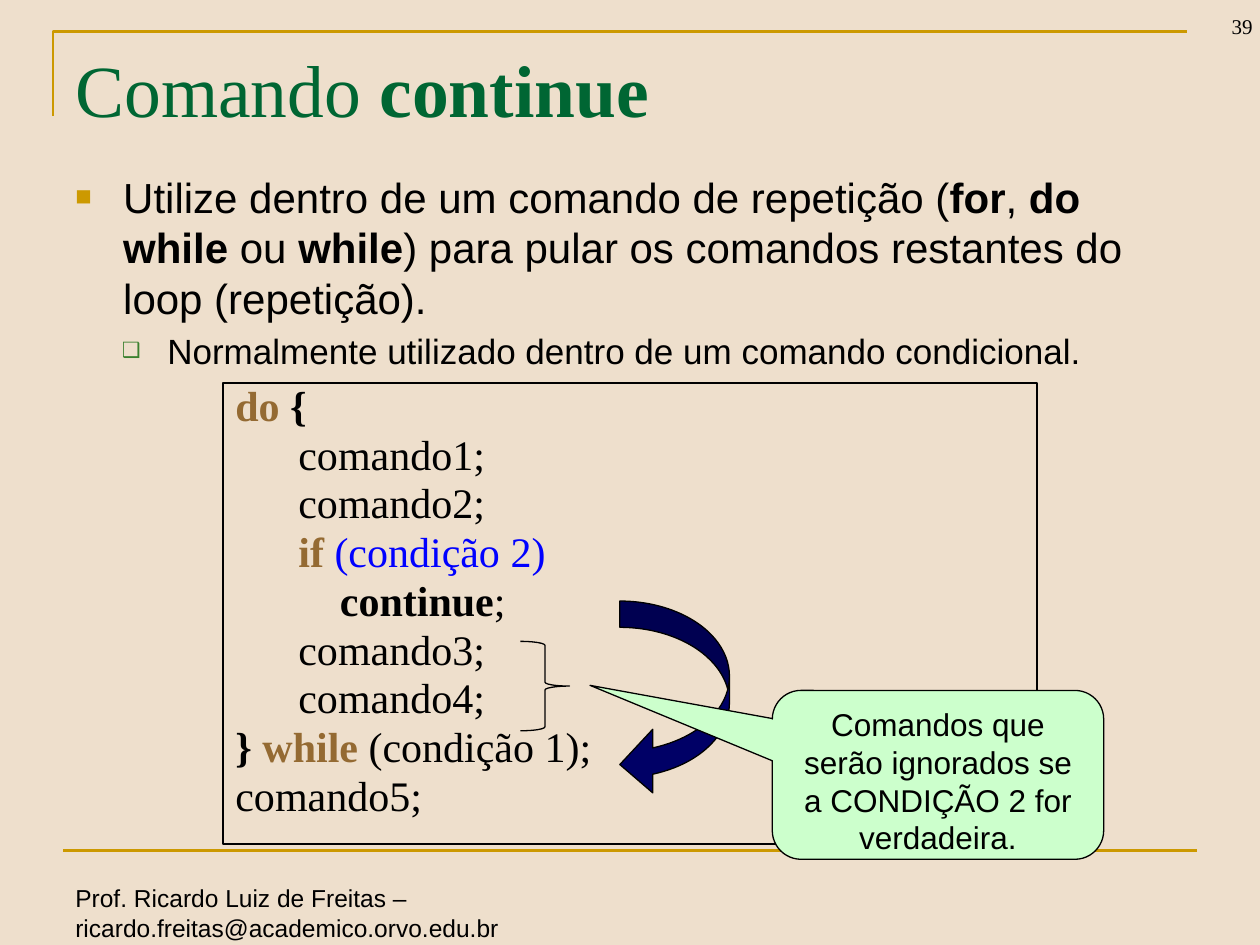
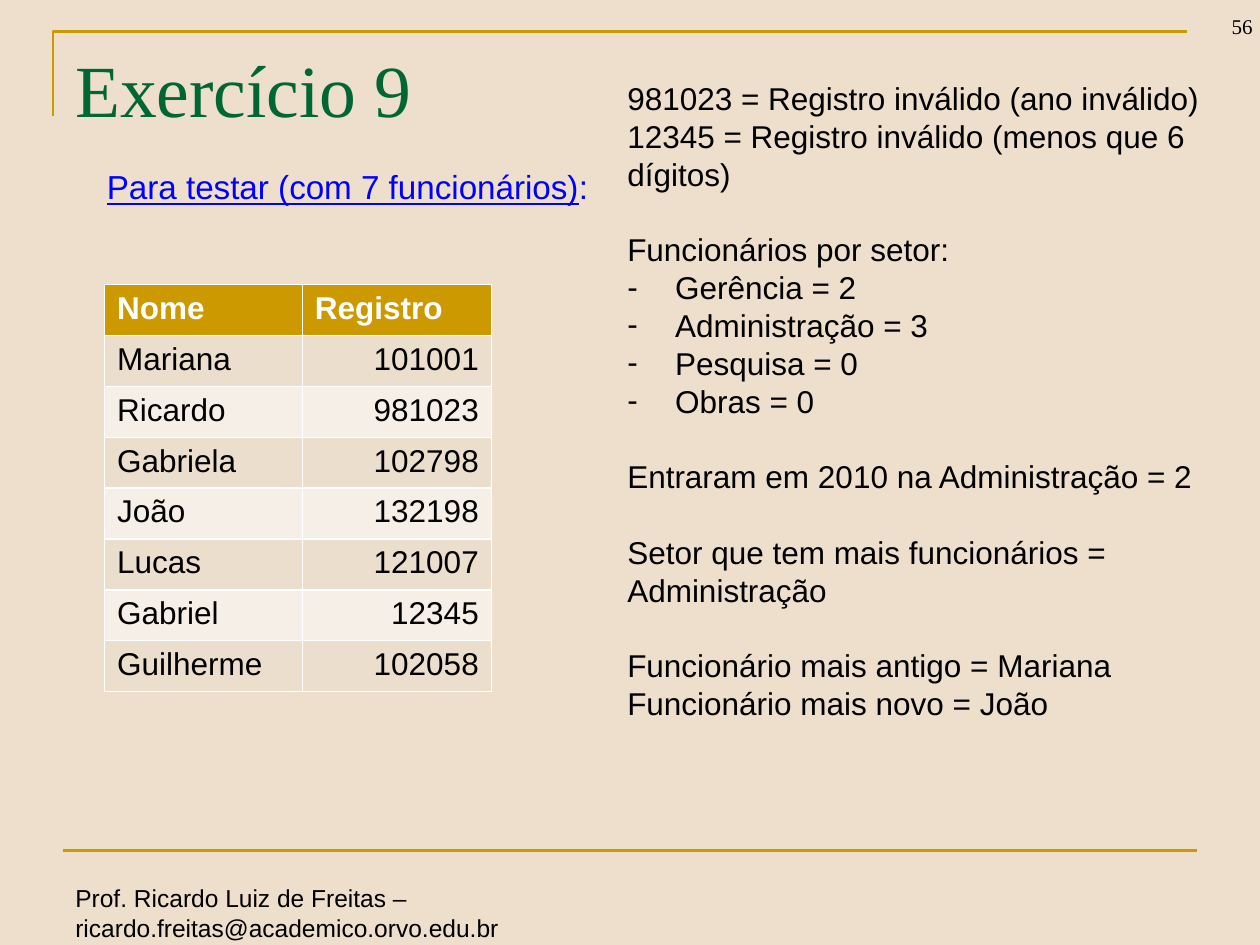
from dataclasses import dataclass
from typing import Optional

from lxml.etree import SubElement
from pptx import Presentation
from pptx.dml.color import RGBColor
from pptx.enum.shapes import MSO_CONNECTOR as Connector, MSO_SHAPE as Preset
from pptx.enum.text import MSO_ANCHOR as Anchor, PP_ALIGN as Align
from pptx.oxml.ns import qn
from pptx.util import Inches, Pt


@dataclass(frozen=True)
class Theme:
    sand: str = "EEDFCC"
    gold: str = "CC9900"
    green: str = "006633"
    leaf: str = "3B812F"
    mint: str = "CCFFCC"
    navy: str = "000066"
    blue: str = "0000FF"
    brown: str = "946A32"
    black: str = "000000"
    white: str = "FFFFFF"
    row_shades: tuple = ("ECDECC", "F6EFE7")
    sans: str = "Arial"
    serif: str = "Times New Roman"
    title: float = 42
    body: float = 24
    sub_body: float = 20
    prompt: float = 19
    regular: float = 18
    footer: float = 14
    number: float = 12
    rule: float = 1.5
    outline: float = 0.75


THEME = Theme()
FOOTER = "Prof. Ricardo Luiz de Freitas – ricardo.freitas@academico.orvo.edu.br"


@dataclass(frozen=True)
class Area:
    left: float
    top: float
    width: float
    height: float

    def lengths(self) -> tuple:
        return tuple(map(Inches, (self.left, self.top, self.width, self.height)))


@dataclass(frozen=True)
class Span:
    text: str
    bold: bool = False
    color: str = THEME.black
    underline: bool = False


@dataclass(frozen=True)
class Bullet:
    mark: str
    color: str = THEME.black
    percent: int = 100


@dataclass(frozen=True)
class Para:
    spans: tuple
    size: float = THEME.regular
    font: str = THEME.sans
    align: Align = Align.LEFT
    left: float = 0
    hang: float = 0
    bullet: Optional[Bullet] = None
    before: float = 0
    line: float = 1


def plain(text: str, **settings) -> Para:
    return Para((Span(text),), **settings)


def rgb(color: str) -> RGBColor:
    return RGBColor.from_string(color)


def write(frame, paras: list, anchor: Anchor = Anchor.TOP) -> None:
    frame.word_wrap = True
    frame.vertical_anchor = anchor
    for index, para in enumerate(paras):
        paragraph = frame.paragraphs[0] if index == 0 else frame.add_paragraph()
        properties = paragraph._p.get_or_add_pPr()
        if para.left:
            properties.set("marL", str(Inches(para.left)))
            properties.set("indent", str(-Inches(para.hang)))
        if para.bullet:
            color = SubElement(properties, qn("a:buClr"))
            SubElement(color, qn("a:srgbClr"), val=para.bullet.color)
            SubElement(properties, qn("a:buSzPct"), val=str(para.bullet.percent * 1000))
            SubElement(properties, qn("a:buFont"), typeface=THEME.sans)
            SubElement(properties, qn("a:buChar"), char=para.bullet.mark)
        paragraph.alignment = para.align
        paragraph.line_spacing = para.line
        paragraph.space_before = Pt(para.before)
        paragraph.font.name = para.font
        paragraph.font.size = Pt(para.size)
        for span in para.spans:
            run = paragraph.add_run()
            run.text = span.text
            run.font.bold = span.bold
            run.font.underline = span.underline
            run.font.color.rgb = rgb(span.color)


def add_text(page, area: Area, paras: list, anchor: Anchor = Anchor.TOP) -> None:
    write(page.shapes.add_textbox(*area.lengths()).text_frame, paras, anchor)


def paint(shape, fill: Optional[str], line: str, width: float) -> None:
    shape.shadow.inherit = False
    if fill:
        shape.fill.solid()
        shape.fill.fore_color.rgb = rgb(fill)
    else:
        shape.fill.background()
    shape.line.color.rgb = rgb(line)
    shape.line.width = Pt(width)


def add_preset(page, preset: Preset, area: Area, fill: Optional[str] = None,
               adjustments: tuple = ()):
    shape = page.shapes.add_shape(preset, *area.lengths())
    for index, value in enumerate(adjustments):
        shape.adjustments[index] = value
    paint(shape, fill, THEME.black, THEME.outline)
    return shape


def add_page(deck, number: int, title: tuple):
    page = deck.slides.add_slide(deck.slide_layouts[6])
    page.background.fill.solid()
    page.background.fill.fore_color.rgb = rgb(THEME.sand)

    builder = page.shapes.build_freeform(Inches(0.42), Inches(0.92))
    builder.add_line_segments(
        [(Inches(0.42), Inches(0.25)), (Inches(9.42), Inches(0.25))], close=False)
    paint(builder.convert_to_shape(), None, THEME.gold, THEME.rule)

    rule = page.shapes.add_connector(
        Connector.STRAIGHT, Inches(0.5), Inches(6.75), Inches(9.5), Inches(6.75))
    rule.line.color.rgb = rgb(THEME.gold)
    rule.line.width = Pt(THEME.rule)
    SubElement(rule._element.spPr, qn("a:effectLst"))

    add_text(page, Area(0.5, 6.96, 6, 0.34), [plain(FOOTER, size=THEME.footer)])
    add_text(page, Area(9.29, -0.14, 0.75, 0.5),
             [plain(str(number), size=THEME.number, font=THEME.serif, align=Align.RIGHT)],
             Anchor.BOTTOM)
    add_text(page, Area(0.5, 0.3, 9, 1.25),
             [Para(title, size=THEME.title, font=THEME.serif)])
    return page


def keyword(text: str) -> Span:
    return Span(text, bold=True, color=THEME.brown)


def add_continue_page(deck) -> None:
    page = add_page(deck, 39, (Span("Comando ", color=THEME.green),
                               Span("continue", bold=True, color=THEME.green)))
    usage = (
        Span("Utilize dentro de um comando de repetição ("), Span("for", bold=True),
        Span(", "), Span("do while", bold=True), Span(" ou "), Span("while", bold=True),
        Span(") para pular os comandos restantes do loop (repetição)."),
    )
    add_text(page, Area(0.5, 1.31, 9, 2.55), [
        Para(usage, size=THEME.body, left=0.38, hang=0.38,
             bullet=Bullet("■", THEME.gold, 65)),
        plain("Normalmente utilizado dentro de um comando condicional.",
              size=THEME.sub_body, left=0.73, hang=0.36, before=THEME.sub_body * 0.2,
              bullet=Bullet("❑", THEME.leaf, 60)),
    ])

    block, nested = 0.5, 0.83
    code_lines = [
        (0, (keyword("do "), Span("{", bold=True))),
        (block, (Span("comando1;"),)),
        (block, (Span("comando2;"),)),
        (block, (keyword("if "), Span("(condição 2)", color=THEME.blue))),
        (nested, (Span("continue", bold=True), Span(";"))),
        (block, (Span("comando3;"),)),
        (block, (Span("comando4;"),)),
        (0, (Span("} ", bold=True), keyword("while "), Span("(condição 1);"))),
        (0, (Span("comando5;"),)),
    ]
    code = add_preset(page, Preset.RECTANGLE, Area(1.77, 3.04, 6.46, 3.66))
    write(code.text_frame, [
        Para(spans, size=THEME.body, font=THEME.serif, left=left, line=0.8,
             before=THEME.body * 0.2 if index else 0)
        for index, (left, spans) in enumerate(code_lines)
    ])

    jump = add_preset(page, Preset.CURVED_RIGHT_ARROW, Area(4.92, 4.77, 0.87, 1.55),
                      THEME.navy, (0.24, 0.58, 0.3))
    jump._element.spPr.get_or_add_xfrm().set("flipH", "1")
    add_preset(page, Preset.RIGHT_BRACE, Area(4.13, 5.09, 0.39, 0.71),
               adjustments=(0.08, 0.5))
    callout = add_preset(page, Preset.ROUNDED_RECTANGULAR_CALLOUT,
                         Area(6.13, 5.48, 2.63, 1.34), THEME.mint, (-1.05, -0.53, 0.17))
    write(callout.text_frame, [
        plain("Comandos que serão ignorados se a CONDIÇÃO 2 for verdadeira.",
              align=Align.CENTER)])


def add_staff_table(page) -> None:
    rows = [
        ("Nome", "Registro"), ("Mariana", "101001"), ("Ricardo", "981023"),
        ("Gabriela", "102798"), ("João", "132198"), ("Lucas", "121007"),
        ("Gabriel", "12345"), ("Guilherme", "102058"),
    ]
    area = Area(0.83, 2.26, 3.07, 3.23)
    table = page.shapes.add_table(len(rows), 2, *area.lengths()).table
    for column, width in zip(table.columns, (1.57, 1.5)):
        column.width = Inches(width)
    for row_index, row in enumerate(rows):
        header = row_index == 0
        shade = THEME.gold if header else THEME.row_shades[(row_index - 1) % 2]
        for column_index, text in enumerate(row):
            cell = table.cell(row_index, column_index)
            cell.fill.solid()
            cell.fill.fore_color.rgb = rgb(shade)
            span = Span(text, header, THEME.white if header else THEME.black)
            is_value = column_index == 1 and not header
            write(cell.text_frame,
                  [Para((span,), align=Align.RIGHT if is_value else Align.LEFT)])


def add_exercise_page(deck) -> None:
    page = add_page(deck, 56, (Span("Exercício 9", color=THEME.green),))
    prompt = (Span("Para testar (com 7 funcionários)", color=THEME.blue, underline=True),
              Span(":", color=THEME.blue))
    add_text(page, Area(0.75, 1.31, 4.17, 5.28),
             [Para(prompt, size=THEME.prompt, left=0.38, hang=0.38, line=0.9)])
    add_staff_table(page)

    gap = THEME.regular * 1.2
    sectors = ("Gerência = 2", "Administração = 3", "Pesquisa = 0", "Obras = 0")
    add_text(page, Area(4.88, 0.58, 4.92, 5.25), [
        plain("981023 = Registro inválido (ano inválido)"),
        plain("12345 = Registro inválido (menos que 6 dígitos)"),
        plain("Funcionários por setor:", before=gap),
        *(plain(sector, left=0.38, hang=0.38, bullet=Bullet("-")) for sector in sectors),
        plain("Entraram em 2010 na Administração = 2", before=gap),
        plain("Setor que tem mais funcionários = Administração", before=gap),
        plain("Funcionário mais antigo = Mariana", before=gap),
        plain("Funcionário mais novo = João"),
    ])


def main() -> None:
    deck = Presentation()
    deck.slide_width = Inches(10)
    deck.slide_height = Inches(7.5)
    add_continue_page(deck)
    add_exercise_page(deck)
    deck.save("out.pptx")


if __name__ == "__main__":
    main()
